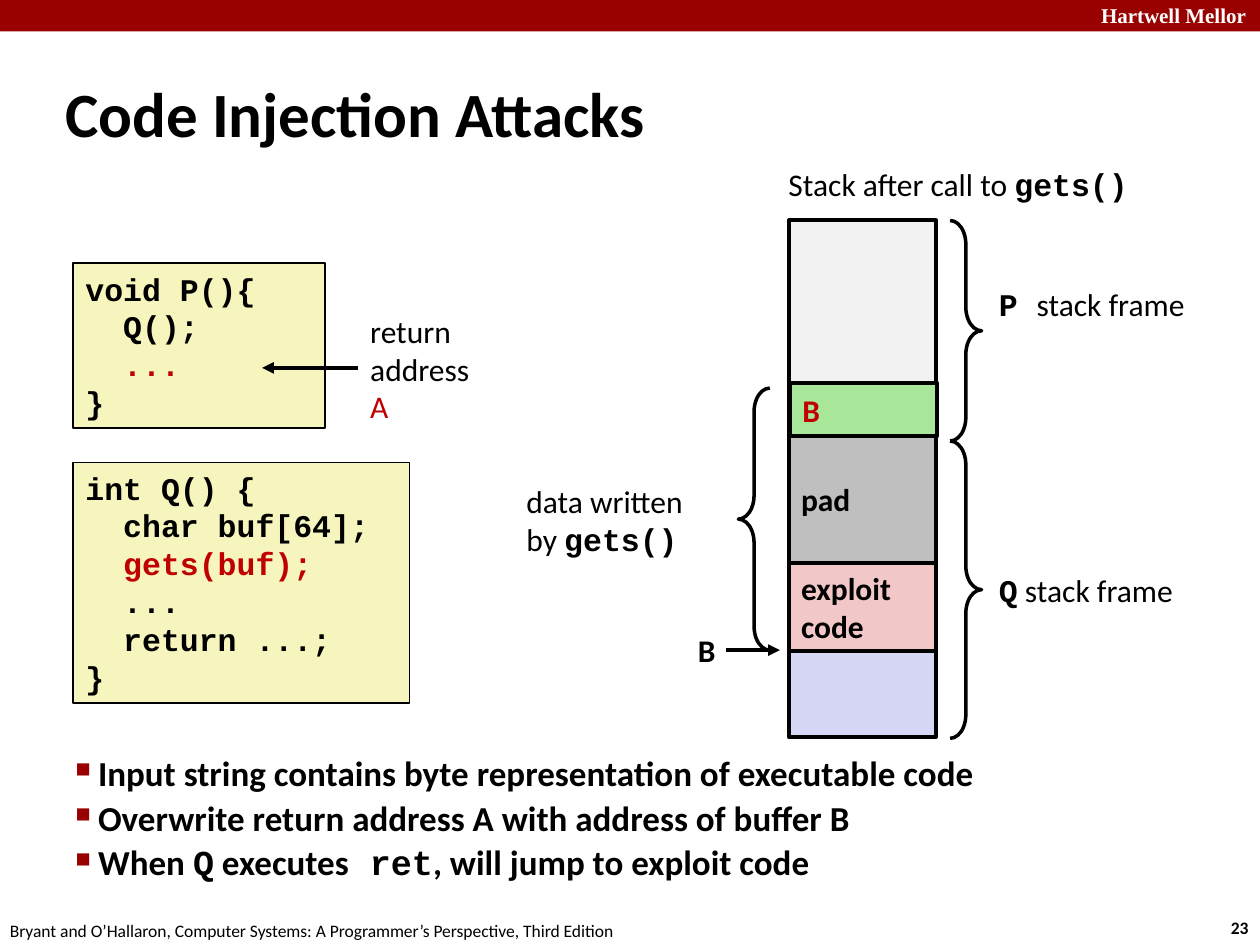
"""Build the slide on code injection attacks."""
from dataclasses import dataclass
from typing import Optional

import pptx
import pptx.dml.color
import pptx.enum.shapes
import pptx.enum.text
import pptx.oxml
import pptx.oxml.ns
import pptx.util

Inches = pptx.util.Inches
Pt = pptx.util.Pt
SHAPE = pptx.enum.shapes.MSO_SHAPE
ANCHOR = pptx.enum.text.MSO_ANCHOR

COLORS = {
    "black": "000000", "white": "FFFFFF", "crimson": "990000", "red": "C00000",
    "code": "F6F5BD", "caller": "F2F2F2", "buffer": "D6D6F5",
    "exploit": "F1C7C7", "pad": "BFBFBF", "address": "A8E799",
}
SANS, MONO, SERIF = "Calibri", "Courier New", "Times New Roman"


@dataclass
class Run:
    text: str
    font: Optional[str] = None
    color: Optional[str] = None
    bold: Optional[bool] = None


@dataclass
class Text:
    paragraphs: list[list[Run]]
    size: float = 18
    font: str = SANS
    color: str = "black"
    bold: bool = False
    middle: bool = True
    wrap: bool = True


@dataclass
class Box:
    left: float
    top: float
    width: float
    height: float
    fill: Optional[str] = None
    line: Optional[float] = None
    text: Optional[Text] = None


@dataclass
class Brace:
    left: float
    top: float
    height: float
    rotation: float = 0


@dataclass
class Arrow:
    start: float
    end: float
    y: float


def rgb(name: str) -> pptx.dml.color.RGBColor:
    return pptx.dml.color.RGBColor.from_string(COLORS[name])


def add_text(sp, text: Text) -> None:
    tf = sp.text_frame
    tf.word_wrap = text.wrap
    tf.vertical_anchor = ANCHOR.MIDDLE if text.middle else ANCHOR.TOP
    for i, runs in enumerate(text.paragraphs):
        p = tf.add_paragraph() if i else tf.paragraphs[0]
        p.alignment = pptx.enum.text.PP_ALIGN.LEFT
        p.font.size, p.font.name, p.font.bold = Pt(text.size), text.font, text.bold
        p.font.color.rgb = rgb(text.color)
        for run in runs:
            r = p.add_run()
            r.text = run.text
            if run.font:
                r.font.name = run.font
            if run.color:
                r.font.color.rgb = rgb(run.color)
            if run.bold is not None:
                r.font.bold = run.bold


def add_box(s, box: Box):
    at = [Inches(v) for v in (box.left, box.top, box.width, box.height)]
    if box.fill:
        sp = s.shapes.add_shape(SHAPE.RECTANGLE, *at)
        sp.shadow.inherit = False
        sp.fill.solid()
        sp.fill.fore_color.rgb = rgb(box.fill)
        if box.line:
            sp.line.color.rgb = rgb("black")
            sp.line.width = Pt(box.line)
        else:
            sp.line.fill.background()
    else:
        sp = s.shapes.add_textbox(*at)
    if box.text:
        add_text(sp, box.text)
    return sp


def add_brace(s, brace: Brace) -> None:
    sp = s.shapes.add_shape(SHAPE.LEFT_BRACE, Inches(brace.left), Inches(brace.top),
                            Inches(0.25), Inches(brace.height))
    sp.adjustments[0] = 0.75
    sp.rotation = brace.rotation
    sp.shadow.inherit = False
    sp.fill.background()
    sp.line.color.rgb = rgb("black")
    sp.line.width = Pt(2)


def add_arrow(s, arrow: Arrow) -> None:
    sp = s.shapes.add_connector(pptx.enum.shapes.MSO_CONNECTOR.STRAIGHT,
                                Inches(arrow.start), Inches(arrow.y),
                                Inches(arrow.end), Inches(arrow.y))
    sp.line.color.rgb = rgb("black")
    sp.line.width = Pt(2.25)
    ln = sp.line._get_or_add_ln()
    pptx.oxml.ns.qn("a:ln")
    ln.append(pptx.oxml.parse_xml(
        f'<a:tailEnd {pptx.oxml.ns.nsdecls("a")} type="triangle"/>'))
    ln.addnext(pptx.oxml.parse_xml(f'<a:effectLst {pptx.oxml.ns.nsdecls("a")}/>'))


def add_bullets(sp) -> None:
    ns = pptx.oxml.ns.nsdecls("a")
    for p in sp.text_frame.paragraphs:
        p.line_spacing = 0.9
        p.space_before = Pt(4)
        pPr = p._p.get_or_add_pPr()
        pPr.set("marL", str(Inches(0.18)))
        pPr.set("indent", str(-Inches(0.18)))
        defaults = pPr.find(pptx.oxml.ns.qn("a:defRPr"))
        for xml in (f'<a:buClr {ns}><a:srgbClr val="{COLORS["crimson"]}"/></a:buClr>',
                    f'<a:buSzPct {ns} val="60000"/>',
                    f'<a:buChar {ns} char="■"/>'):
            defaults.addprevious(pptx.oxml.parse_xml(xml))


def code(lines: list[list[Run]]) -> Text:
    return Text(lines, font=MONO, bold=True, middle=False)


def label(*lines: list[Run], bold: bool = False, color: str = "black",
          wrap: bool = False) -> Text:
    return Text(list(lines), bold=bold, color=color, wrap=wrap)


FOOTER = "Bryant and O’Hallaron, Computer Systems: A Programmer’s Perspective, Third Edition"
GETS = Run("gets()", MONO, bold=True)
STACK_X, STACK_W = 6.26, 1.17

FRAME = [
    Box(0, 0, 10, 0.25, "crimson"),
    Box(8.64, -0.03, 1.43, 0.3, text=Text(
        [[Run("Hartwell Mellor")]], 12, SERIF, "white", True, middle=False)),
    Box(9.67, 7.23, 0.37, 0.27, text=Text(
        [[Run("23")]], 10, bold=True, middle=False, wrap=False)),
    Box(-0.02, 7.25, 5.08, 0.27, text=Text(
        [[Run(FOOTER)]], 10, middle=False, wrap=False)),
    Box(0.42, 0.58, 9.08, 0.63, text=Text(
        [[Run("Code Injection Attacks")]], 36, bold=True)),
]
POINTS = Box(0.5, 5.88, 9.03, 1.25, text=Text([
    [Run("Input string contains byte representation of executable code")],
    [Run("Overwrite return address A with address of buffer B")],
    [Run("When "), Run("Q", MONO), Run(" executes"), Run(" ret", MONO),
     Run(", will jump to exploit code")],
], 20, bold=True))
LISTINGS = [
    Box(0.58, 3.67, 2.67, 1.91, "code", 1, code([
        [Run("int Q() {")], [Run("  char buf[64];")],
        [Run("  "), Run("gets(buf);", color="red")],
        [Run("  ...")], [Run("  return ...;")], [Run("}")]])),
    Box(0.58, 2.09, 2, 1.31, "code", 1, code([
        [Run("void P(){")], [Run("  Q();")],
        [Run("  "), Run("...", color="red")], [Run("}")]])),
]
STACK = [
    Box(STACK_X, 1.75, STACK_W, 1.7, "caller", 2.25),
    Box(STACK_X, 3.45, STACK_W, 2.4, "buffer", 2.25),
    Box(STACK_X, 4.46, STACK_W, 0.71, "exploit", 2.25,
        label([Run("exploit")], [Run("code")], bold=True, wrap=True)),
    Box(STACK_X, 3.45, STACK_W, 1.02, "pad", 2.25,
        label([Run("pad")], bold=True, wrap=True)),
    Box(6.27, 3.04, STACK_W, 0.42, "address", 2.25,
        label([Run("B")], bold=True, color="red")),
]
LABELS = [
    Box(2.84, 2.42, 1, 1.01, text=label(
        [Run("return")], [Run("address")], [Run("A", color="red")])),
    Box(6.16, 1.26, 2.93, 0.4, text=label([Run("Stack after call to "), GETS])),
    Box(7.83, 2.21, 1.7, 0.4, text=label(
        [Run("P ", MONO, bold=True), Run("stack frame")])),
    Box(7.83, 4.48, 1.61, 0.4, text=label(
        [Run("Q", MONO, bold=True), Run(" stack frame")])),
    Box(5.44, 4.96, 0.34, 0.4, text=label([Run("B")], bold=True)),
    Box(4.08, 3.77, 1.5, 0.71, text=label(
        [Run("data written")], [Run("by "), GETS], wrap=True)),
]
BRACES = [Brace(7.54, 1.75, 1.75, 180), Brace(7.54, 3.5, 2.36, 180), Brace(5.86, 3.08, 2.08)]
ARROWS = [Arrow(2.84, 2.08, 2.92), Arrow(5.76, 6.19, 5.16)]

prs = pptx.Presentation()
prs.slide_width, prs.slide_height = Inches(10), Inches(7.5)
s = prs.slides.add_slide(prs.slide_layouts[6])
for box in FRAME:
    add_box(s, box)
add_bullets(add_box(s, POINTS))
for box in LISTINGS + LABELS + STACK:
    add_box(s, box)
for arrow in ARROWS:
    add_arrow(s, arrow)
for brace in BRACES:
    add_brace(s, brace)
prs.save("out.pptx")
